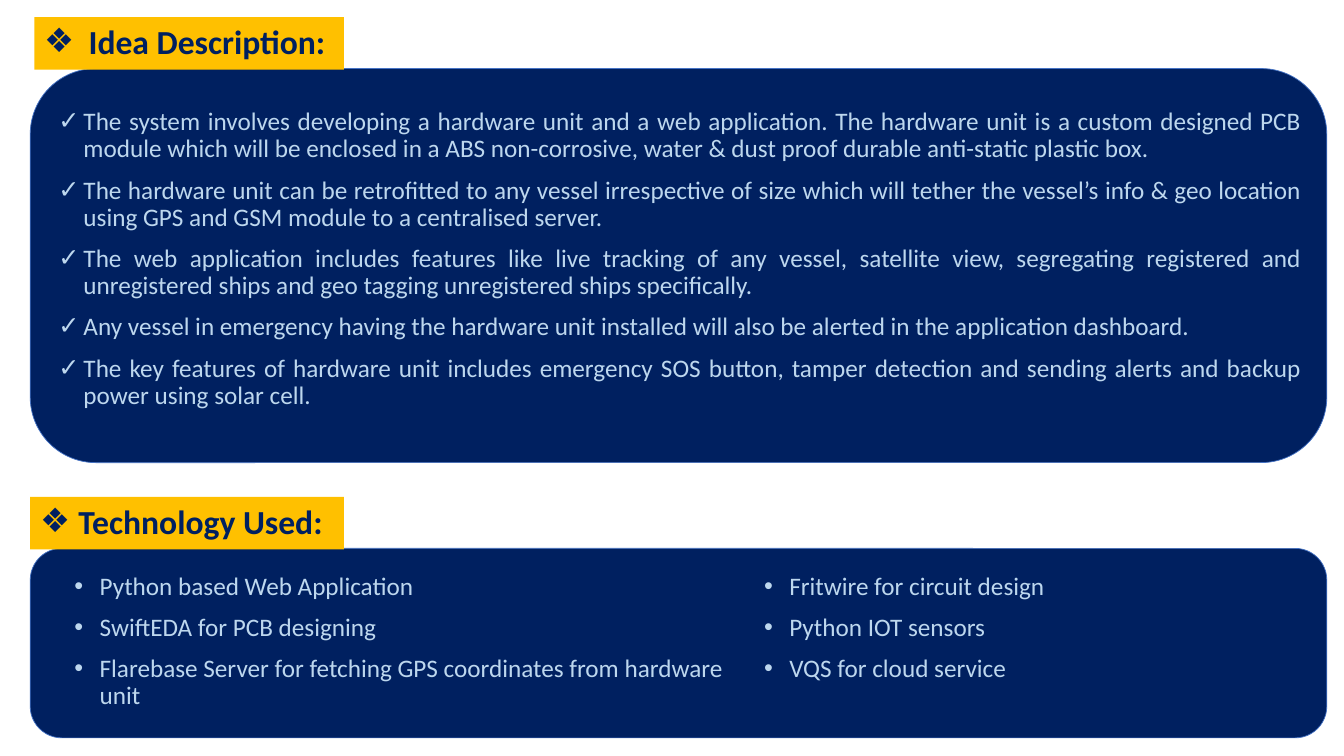
from lxml import etree
from pptx import Presentation
from pptx.dml.color import RGBColor
from pptx.enum.shapes import MSO_SHAPE
from pptx.enum.text import MSO_ANCHOR, PP_ALIGN
from pptx.oxml.ns import qn
from pptx.util import Inches, Pt

RECT, ROUNDED = MSO_SHAPE.RECTANGLE, MSO_SHAPE.ROUNDED_RECTANGLE
MIDDLE = MSO_ANCHOR.MIDDLE
LEFT, JUSTIFY = PP_ALIGN.LEFT, PP_ALIGN.JUSTIFY
NAVY, AMBER, BLUE, PALE = "002060", "FFC000", "4472C4", "BDD7EE"
HEADING = {"name": "Calibri", "size": Pt(24), "bold": True}
BODY = {"name": "Calibri", "size": Pt(18), "bold": False}

IDEA_POINTS = [
    "The system involves developing a hardware unit and a web application. The hardware unit is a custom "
    "designed PCB module which will be enclosed in a ABS non-corrosive, water & dust proof durable "
    "anti-static plastic box.",
    "The hardware unit can be retrofitted to any vessel irrespective of size which will tether the vessel’s "
    "info & geo location using GPS and GSM module to a centralised server.",
    "The web application includes features like live tracking of any vessel, satellite view, segregating "
    "registered and unregistered ships and geo tagging unregistered ships specifically.",
    "Any vessel in emergency having the hardware unit installed will also be alerted in the application "
    "dashboard.",
    "The key features of hardware unit includes emergency SOS button, tamper detection and sending alerts "
    "and backup power using solar cell.",
]
BUILD_TOOLS = [
    "Python based Web Application",
    "SwiftEDA for PCB designing",
    "Flarebase Server for fetching GPS coordinates from hardware unit",
]
SUPPORT_TOOLS = ["Fritwire for circuit design", "Python IOT sensors", "VQS for cloud service"]


def rgb(hex_code):
    """Turn a hex string into a colour."""
    return RGBColor.from_string(hex_code)


def add_block(slide, kind, box, fill, outline=None):
    """Add a filled shape with an optional thin outline."""
    block = slide.shapes.add_shape(kind, *map(Inches, box))
    block.shadow.inherit = False
    block.fill.solid()
    block.fill.fore_color.rgb = rgb(fill)
    if outline:
        block.line.color.rgb = rgb(outline)
        block.line.width = Pt(0.5)
    else:
        block.line.fill.background()
    return block


def write_points(frame, points, mark, indent, hang, style, color, align=LEFT, before=0):
    """Fill a text frame with bulleted paragraphs."""
    frame.word_wrap = True
    for index, point in enumerate(points):
        paragraph = frame.paragraphs[0] if index == 0 else frame.add_paragraph()
        layout = {"alignment": align, "line_spacing": 0.9, "space_before": Pt(before)}
        for name, value in layout.items():
            setattr(paragraph, name, value)
        run = paragraph.add_run()
        run.text = point
        for name, value in style.items():
            setattr(run.font, name, value)
        run.font.color.rgb = rgb(color)
        properties = paragraph._p.get_or_add_pPr()
        properties.set("marL", str(Inches(indent)))
        properties.set("indent", str(-Inches(hang)))
        etree.SubElement(properties, qn("a:buFont")).set("typeface", "Arial")
        etree.SubElement(properties, qn("a:buChar")).set("char", mark)


def add_section(slide, box, title, badge_left, title_indent):
    """Add a rounded panel with its title badge resting on the top edge."""
    left, top, width, height = box
    add_block(slide, ROUNDED, box, NAVY, BLUE)
    badge_box = (badge_left, top - 0.51, 3.41 - badge_left, 0.52)
    badge = add_block(slide, RECT, badge_box, AMBER)
    badge.text_frame.vertical_anchor = MIDDLE
    write_points(badge.text_frame, [title], "❖", title_indent, title_indent, HEADING, NAVY)


def add_list(slide, box, points, mark, align=LEFT):
    """Add a bulleted list in the given box."""
    frame = slide.shapes.add_textbox(*map(Inches, box)).text_frame
    write_points(frame, points, mark, 0.25, 0.25, BODY, PALE, align, 10)


def add_idea(slide, box):
    """Add the idea description section."""
    left, top, width, height = box
    add_section(slide, box, "Idea Description:", left + 0.04, 0.44)
    points_box = (left + 0.18, top + 0.35, width - 0.33, height - 0.63)
    add_list(slide, points_box, IDEA_POINTS, "✓", JUSTIFY)


def add_technology(slide, box):
    """Add the technology section with its two columns."""
    left, top, width, height = box
    add_section(slide, box, "Technology Used:", left, 0.38)
    columns = [(0.34, 6.85, BUILD_TOOLS), (7.18, 5.52, SUPPORT_TOOLS)]
    for offset, column_width, tools in columns:
        add_list(slide, (left + offset, top + 0.2, column_width, height - 0.42), tools, "•")


def main():
    """Build and save the slide."""
    deck = Presentation()
    deck.slide_width, deck.slide_height = Inches(13.33), Inches(7.5)
    slide = deck.slides.add_slide(deck.slide_layouts[6])
    add_idea(slide, (0.3, 0.68, 12.86, 3.91))
    add_technology(slide, (0.3, 5.44, 12.86, 1.88))
    deck.save("out.pptx")


if __name__ == "__main__":
    main()
